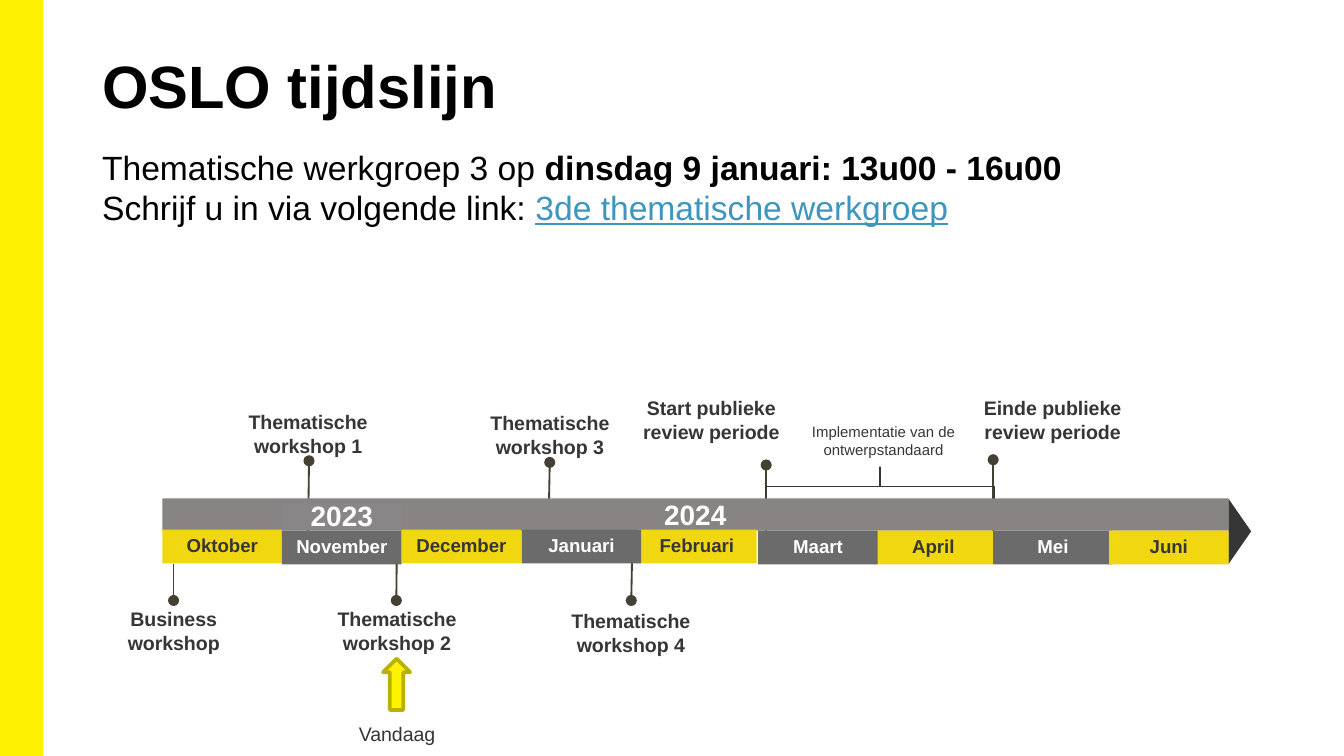
"""Build the OSLO timeline slide."""
import lxml.etree
import pptx
import pptx.dml.color
import pptx.enum.shapes
import pptx.enum.text
import pptx.oxml.ns
import pptx.util

Cm, Pt = pptx.util.Cm, pptx.util.Pt
SHAPE = pptx.enum.shapes.MSO_SHAPE
ALIGN = pptx.enum.text.PP_ALIGN
ANCHOR = pptx.enum.text.MSO_ANCHOR
qn = pptx.oxml.ns.qn

COLORS = {
    "yellow": "FFF200", "olive": "BAB000", "gold": "F0D70F",
    "gray": "6B6B6B", "bar": "888484", "year": "888686",
    "dark": "373636", "pin": "454034", "brace": "353333",
    "white": "FFFFFF", "black": "000000", "link": "3C96BE",
}
TITLE = "OSLO tijdslijn"
INTRO = [
    [("Thematische werkgroep 3 op ", {}),
     ("dinsdag 9 januari: 13u00 - 16u00", {"bold": True})],
    [("Schrijf u in via volgende link: ", {}),
     ("3de thematische werkgroep", {"color": "link", "underline": True})],
]
MONTHS = [
    ("Oktober", 3.07, 10.01, "gold"), ("November", 5.33, 10.03, "gray"),
    ("December", 7.59, 10.01, "gold"), ("Februari", 12.04, 10.01, "gold"),
    ("April", 16.51, 10.03, "gold"), ("Mei", 18.77, 10.03, "gray"),
    ("Juni", 20.96, 10.03, "gold"), ("Januari", 9.86, 10.01, "gray"),
    ("Maart", 14.33, 10.03, "gray"),
]
MONTH_SIZE = (2.26, 0.64)
PINS = [
    (10.39, 8.74, 10.36, 10.29), (18.77, 8.69, 18.77, 10.44),
    (5.84, 8.71, 5.82, 10.26), (7.49, 11.35, 7.5, 10.29),
    (3.28, 11.35, 3.28, 10.67), (14.48, 8.79, 14.48, 10.34),
    (11.93, 11.35, 11.95, 10.29),
]
LABELS = [
    ("Thematische workshop 1", 4.29, 7.75),
    ("Thematische workshop 2", 5.97, 11.48),
    ("Thematische workshop 3", 8.86, 7.77),
    ("Thematische workshop 4", 10.39, 11.51),
    ("Start publieke review periode", 11.91, 7.49),
    ("Einde publieke review periode", 18.36, 7.49),
    ("Business workshop", 1.75, 11.48),
]
LABEL_SIZE = (3.07, 1.07)


def rgb(name):
    """Return the named colour."""
    return pptx.dml.color.RGBColor.from_string(COLORS[name])


def write(box, text, size=10.5, color="dark", bold=False, align=ALIGN.CENTER,
          anchor=ANCHOR.TOP, insets=(0, 0, 0, 0), leading=None):
    """Fill a box with a string, or with lists of (text, format) spans."""
    frame = box.text_frame
    frame.word_wrap = True
    frame.auto_size = pptx.enum.text.MSO_AUTO_SIZE.NONE
    frame.vertical_anchor = anchor
    (frame.margin_left, frame.margin_top,
     frame.margin_right, frame.margin_bottom) = map(Cm, insets)
    lines = [[(text, {})]] if isinstance(text, str) else text
    for number, line in enumerate(lines):
        para = frame.add_paragraph() if number else frame.paragraphs[0]
        para.alignment = align
        para.space_before = Pt(0)
        if leading:
            para.line_spacing = Pt(leading)
        for words, extra in line:
            span = para.add_run()
            span.text = words
            span.font.name = "Arial"
            span.font.size = Pt(size)
            span.font.bold = extra.get("bold", bold)
            span.font.underline = extra.get("underline")
            span.font.color.rgb = rgb(extra.get("color", color))


def add_shape(page, kind, place, fill=None, line=None, width=1, rotation=0):
    """Add a preset shape without shadow."""
    shape = page.shapes.add_shape(kind, *map(Cm, place))
    shape.shadow.inherit = False
    shape.rotation = rotation
    if fill:
        shape.fill.solid()
        shape.fill.fore_color.rgb = rgb(fill)
    else:
        shape.fill.background()
    if line:
        shape.line.color.rgb = rgb(line)
        shape.line.width = Pt(width)
    else:
        shape.line.fill.background()
    return shape


def add_pin(page, ends):
    """Add a line that starts with a round dot."""
    pin = page.shapes.add_connector(
        pptx.enum.shapes.MSO_CONNECTOR.STRAIGHT, *map(Cm, ends))
    pin.line.color.rgb = rgb("pin")
    pin.line.width = Pt(1)
    lxml.etree.SubElement(pin.line._get_or_add_ln(), qn("a:headEnd"), type="oval")
    lxml.etree.SubElement(pin._element.spPr, qn("a:effectLst"))


def add_label(page, text, place, **style):
    """Add a text box with a caption."""
    write(page.shapes.add_textbox(*map(Cm, place)), text, **style)


def place_holder(box, place):
    """Move a placeholder."""
    box.left, box.top, box.width, box.height = map(Cm, place)


def main():
    """Build and save the deck."""
    deck = pptx.Presentation()
    deck.slide_width, deck.slide_height = Cm(25.4), Cm(14.29)
    page = deck.slides.add_slide(deck.slide_layouts[1])

    title, body = page.shapes.title, page.placeholders[1]
    margins = (0.18, 0.1, 0.18, 0.1)
    place_holder(title, (1.75, 0.76, 21.89, 2.06))
    write(title, TITLE, size=32, color="black", bold=True, align=ALIGN.LEFT,
          insets=margins, leading=40)
    place_holder(body, (1.75, 2.67, 21.89, 2.72))
    write(body, INTRO, size=18, color="black", align=ALIGN.LEFT,
          insets=margins, leading=21.6)
    for para in body.text_frame.paragraphs:
        properties = para._p.get_or_add_pPr()
        properties.set("marL", "0")
        properties.set("indent", "0")
        lxml.etree.SubElement(properties, qn("a:buNone"))

    add_shape(page, SHAPE.RECTANGLE, (0, 0, 0.79, 14.29), "yellow", "yellow")
    for ends in PINS:
        add_pin(page, ends)
    add_shape(page, SHAPE.ISOSCELES_TRIANGLE, (22.81, 9.83, 1.24, 0.43), "dark",
              rotation=90)
    brace = add_shape(page, SHAPE.LEFT_BRACE, (16.26, 7.04, 0.74, 4.32),
                      line="brace", width=0.75, rotation=90)
    brace.adjustments[0], brace.adjustments[1] = 0, 0.5

    bar = add_shape(page, SHAPE.RECTANGLE, (3.07, 9.42, 20.14, 0.61), "bar")
    year = add_shape(page, SHAPE.RECTANGLE, (5.33, 9.53, 2.26, 0.48), "year")
    cell = {"bold": True, "anchor": ANCHOR.MIDDLE, "insets": (0.2, 0.2, 0.2, 0.25)}
    write(bar, "2024", size=15, color="white", bold=True, anchor=ANCHOR.MIDDLE,
          insets=(0.25, 0.13, 0.25, 0.13))
    write(year, "2023", size=15, color="white", **cell)
    for name, left, top, fill in MONTHS:
        month = add_shape(page, SHAPE.RECTANGLE, (left, top, *MONTH_SIZE), fill)
        write(month, name, size=10,
              color="dark" if fill == "gold" else "white", **cell)

    for text, left, top in LABELS:
        add_label(page, text, (left, top, *LABEL_SIZE), bold=True, leading=12.6)
    add_label(page, "Implementatie van de ontwerpstandaard",
              (15.01, 7.98, 3.38, 1.07), size=8, leading=9.6)
    add_shape(page, SHAPE.DOWN_ARROW, (7.24, 12.45, 0.51, 0.97), "yellow", "olive",
              width=2, rotation=180)
    add_label(page, "Vandaag", (5.97, 13.64, 3.07, 0.65), leading=12.6)
    deck.save("out.pptx")


if __name__ == "__main__":
    main()
